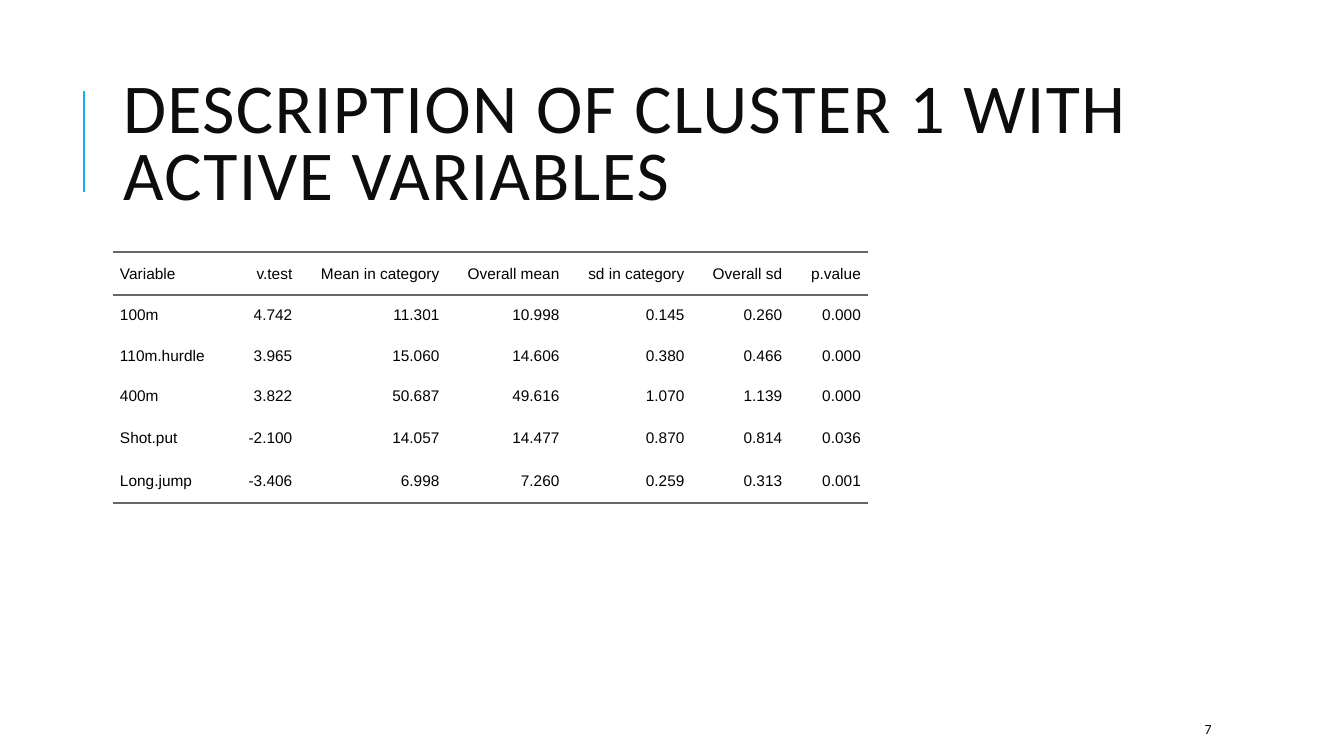
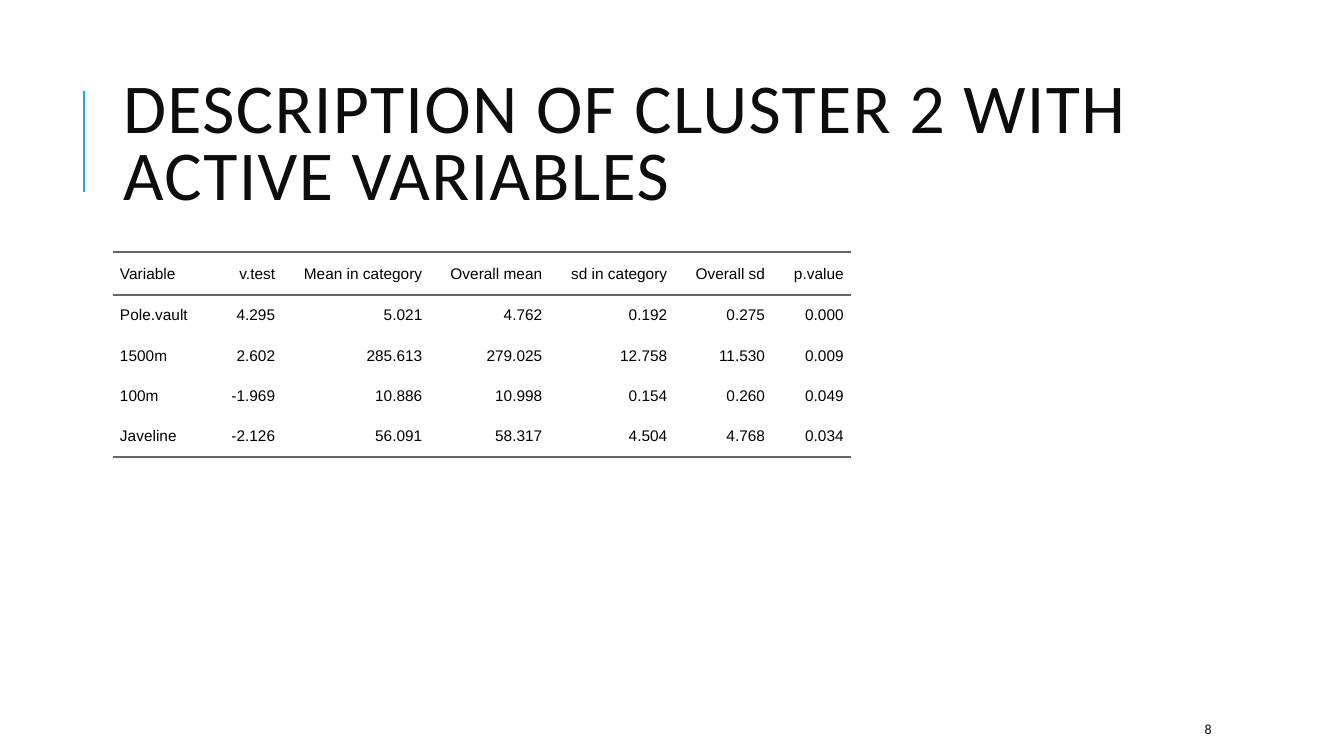
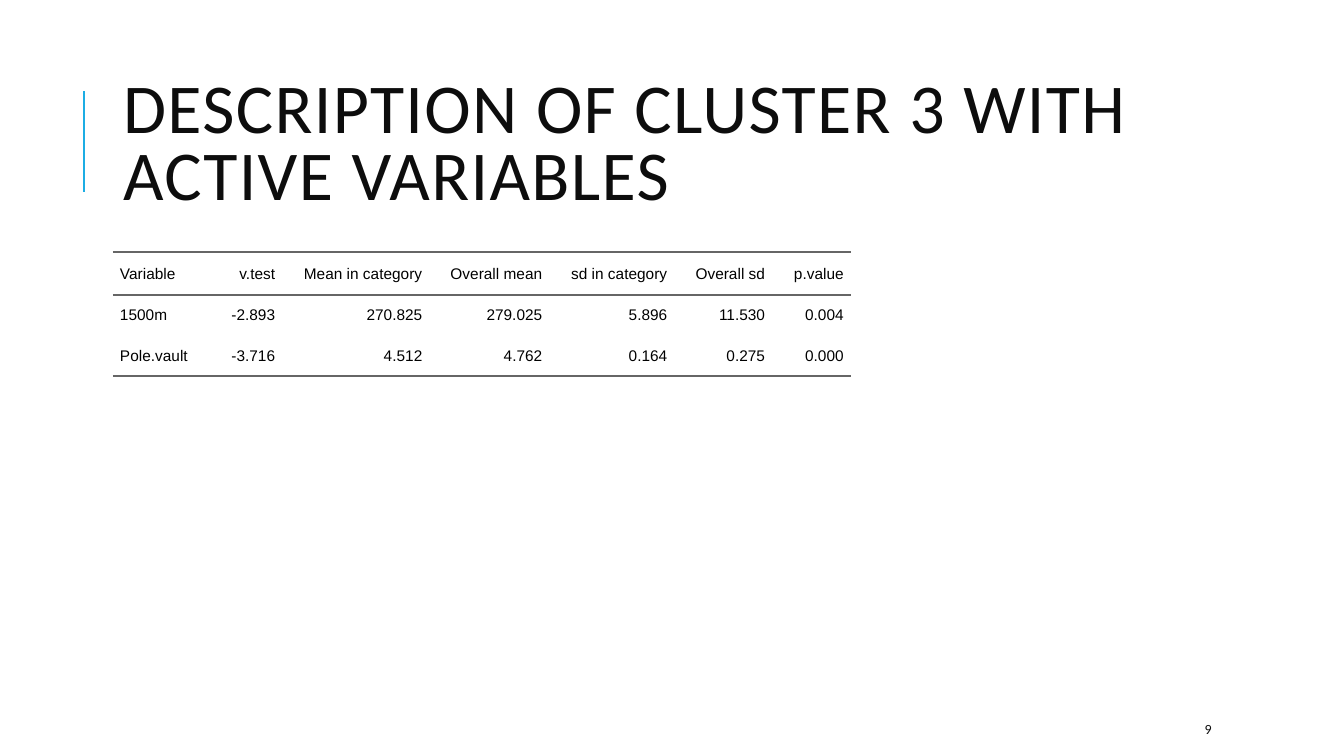
import dataclasses

import lxml.etree
import pptx
import pptx.dml.color
import pptx.enum.shapes
import pptx.enum.text
import pptx.oxml.ns
import pptx.util

PX = 9144
LEFT = pptx.enum.text.PP_ALIGN.LEFT
RIGHT = pptx.enum.text.PP_ALIGN.RIGHT
MIDDLE = pptx.enum.text.MSO_ANCHOR.MIDDLE
PLAIN_TABLE = "{2D5ABB26-0587-4C30-8999-92F81FD0307C}"


@dataclasses.dataclass(frozen=True)
class Theme:
    accent: str = "1CADE4"
    ink: str = "0D0D0D"
    table_ink: str = "000000"
    rule: str = "666666"
    font: str = "Calibri"
    table_font: str = "Arial"
    title_size: int = 50
    table_size: int = 11
    number_size: int = 10
    line_width: float = 1.5
    cell_pad: int = 7
    cell_gap: int = 5


def px(*lengths):
    return [pptx.util.Emu(length * PX) for length in lengths]


def color(code):
    return pptx.dml.color.RGBColor.from_string(code)


def write(frame, text, *, font, size, ink, align=LEFT, leading=None,
          tracking=0, gap=None, indent=0):
    para = frame.paragraphs[0]
    para.alignment = align
    if leading:
        para.line_spacing = leading
    if gap is not None:
        para.space_before = para.space_after = pptx.util.Pt(gap)
    if indent:
        properties = para._p.get_or_add_pPr()
        for side in ("marL", "marR"):
            properties.set(side, str(indent * PX))
    span = para.add_run()
    span.text = text
    span.font.name = font
    span.font.size = pptx.util.Pt(size)
    span.font.color.rgb = color(ink)
    if tracking:
        span._r.get_or_add_rPr().set("spc", str(tracking * 100))


class Report:
    def __init__(self, theme):
        self.theme = theme
        self.deck = pptx.Presentation()
        self.deck.slide_width, self.deck.slide_height = px(1333, 750)
        self.page = None

    def start(self, title, number):
        self.page = self.deck.slides.add_slide(self.deck.slide_layouts[5])
        self.accent_line()
        self.title(title)
        self.page_number(number)

    def accent_line(self):
        line = self.page.shapes.add_connector(
            pptx.enum.shapes.MSO_CONNECTOR.STRAIGHT, *px(83, 190, 83, 90))
        line.line.color.rgb = color(self.theme.accent)
        line.line.width = pptx.util.Pt(self.theme.line_width)
        lxml.etree.SubElement(line._element.spPr, pptx.oxml.ns.qn("a:effectLst"))

    def place(self, box, *area):
        box.left, box.top, box.width, box.height = px(*area)
        frame = box.text_frame
        frame.word_wrap = True
        frame.auto_size = pptx.enum.text.MSO_AUTO_SIZE.NONE
        frame.vertical_anchor = MIDDLE
        return frame

    def title(self, text):
        frame = self.place(self.page.shapes.title, 112, 64, 1063, 164)
        write(frame, text, font=self.theme.font, size=self.theme.title_size,
              ink=self.theme.ink, leading=0.8, tracking=1)

    def page_number(self, number):
        area = (1185, 708, 106, 30)
        frame = self.place(self.page.shapes.add_textbox(*px(*area)), *area)
        write(frame, str(number), font=self.theme.font,
              size=self.theme.number_size, ink=self.theme.ink)

    def border(self, cell, side):
        qn = pptx.oxml.ns.qn
        line = lxml.etree.SubElement(
            cell._tc.get_or_add_tcPr(), qn("a:ln" + side),
            w=str(pptx.util.Pt(self.theme.line_width)))
        fill = lxml.etree.SubElement(line, qn("a:solidFill"))
        lxml.etree.SubElement(fill, qn("a:srgbClr"), val=self.theme.rule)

    def cell(self, cell, text, align, sides):
        cell.margin_left = cell.margin_right = 0
        cell.margin_top, cell.margin_bottom = px(*[self.theme.cell_pad] * 2)
        cell.vertical_anchor = MIDDLE
        for side in sides:
            self.border(cell, side)
        cell.fill.background()
        write(cell.text_frame, text, font=self.theme.table_font,
              size=self.theme.table_size, ink=self.theme.table_ink, align=align,
              gap=self.theme.cell_gap, indent=self.theme.cell_pad)

    def table(self, rows, widths, heights):
        area = px(112, 250, sum(widths), sum(heights))
        graphic = self.page.shapes.add_table(len(rows), len(widths), *area)
        table = graphic.table
        table.first_row = table.horz_banding = False
        style = table._tbl.tblPr.find(pptx.oxml.ns.qn("a:tableStyleId"))
        style.text = PLAIN_TABLE
        for column, width in zip(table.columns, px(*widths)):
            column.width = width
        for row, height in zip(table.rows, px(*heights)):
            row.height = height
        borders = {0: "TB", len(rows) - 1: "B"}
        for r, values in enumerate(rows):
            for c, text in enumerate(values):
                self.cell(table.cell(r, c), text, RIGHT if c else LEFT,
                          borders.get(r, ""))


HEADER = ["Variable", "v.test", "Mean in category", "Overall mean",
          "sd in category", "Overall sd", "p.value"]
VALUE_WIDTHS = [72, 146, 119, 124, 97, 78]
HEADER_HEIGHT = 43

CLUSTERS = [
    (113, [40, 40, 40, 43, 43], [
        "100m 4.742 11.301 10.998 0.145 0.260 0.000",
        "110m.hurdle 3.965 15.060 14.606 0.380 0.466 0.000",
        "400m 3.822 50.687 49.616 1.070 1.139 0.000",
        "Shot.put -2.100 14.057 14.477 0.870 0.814 0.036",
        "Long.jump -3.406 6.998 7.260 0.259 0.313 0.001",
    ]),
    (96, [40] * 4, [
        "Pole.vault 4.295 5.021 4.762 0.192 0.275 0.000",
        "1500m 2.602 285.613 279.025 12.758 11.530 0.009",
        "100m -1.969 10.886 10.998 0.154 0.260 0.049",
        "Javeline -2.126 56.091 58.317 4.504 4.768 0.034",
    ]),
    (96, [40] * 2, [
        "1500m -2.893 270.825 279.025 5.896 11.530 0.004",
        "Pole.vault -3.716 4.512 4.762 0.164 0.275 0.000",
    ]),
]


def main():
    report = Report(Theme())
    for cluster, (name_width, heights, lines) in enumerate(CLUSTERS, 1):
        report.start(f"DESCRIPTION OF CLUSTER {cluster} WITH ACTIVE VARIABLES",
                     cluster + 6)
        report.table([HEADER] + [line.split() for line in lines],
                     [name_width] + VALUE_WIDTHS, [HEADER_HEIGHT] + heights)
    report.deck.save("out.pptx")


if __name__ == "__main__":
    main()
